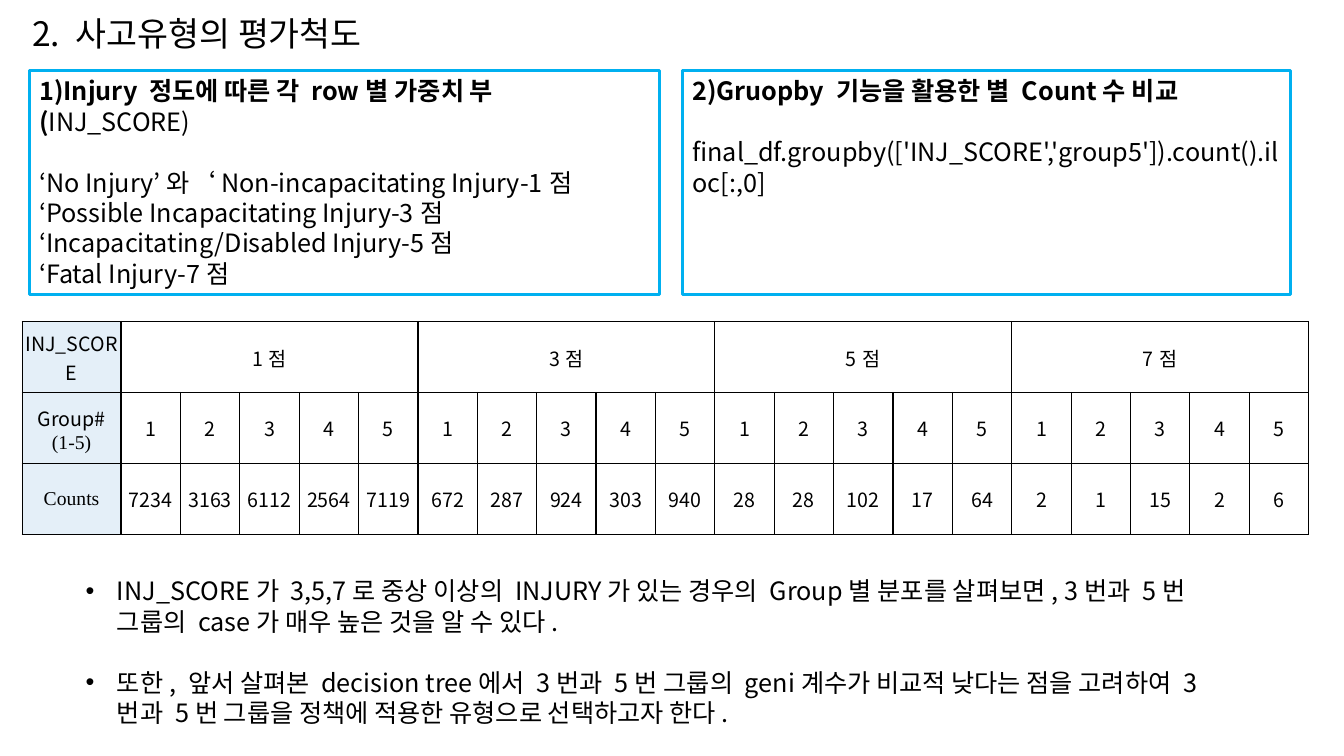
from lxml import etree
from pptx import Presentation
from pptx.dml.color import RGBColor
from pptx.enum.shapes import MSO_SHAPE
from pptx.enum.text import MSO_ANCHOR, MSO_AUTO_SIZE, PP_ALIGN
from pptx.oxml.ns import qn
from pptx.util import Inches, Pt

RECT = MSO_SHAPE.RECTANGLE
TOP, MIDDLE = MSO_ANCHOR.TOP, MSO_ANCHOR.MIDDLE
LEFT, CENTER = PP_ALIGN.LEFT, PP_ALIGN.CENTER
FIXED = MSO_AUTO_SIZE.NONE
SANS, SERIF = "Noto Sans CJK KR", "Times New Roman"


def color(code):
    return RGBColor.from_string(code)


def style(para, size, align=LEFT, face=SANS):
    para.alignment = align
    for run in para.runs:
        font = run.font
        font.size = Pt(size)
        font.name = face
        font.bold = False
        font.color.rgb = color("000000")
        east = etree.SubElement(run._r.get_or_add_rPr(), qn("a:ea"))
        east.set("typeface", face)


deck = Presentation()
deck.slide_width, deck.slide_height = Inches(13.33), Inches(7.5)
slide = deck.slides.add_slide(deck.slide_layouts[1])
title, body = slide.placeholders
title.text_frame.text = "2. 사고유형의 평가척도"
body.text_frame.text = (
    "INJ_SCORE가 3,5,7로 중상 이상의 INJURY가 있는 경우의 Group별 분포를 살펴보면, "
    "3번과 5번 그룹의 case가 매우 높은 것을 알 수 있다.\n"
    "또한, 앞서 살펴본 decision tree에서 3번과 5번 그룹의 geni계수가 비교적 낮다는 점을 "
    "고려하여 3번과 5번 그룹을 정책에 적용한 유형으로 선택하고자 한다."
)

boxes = [
    (0.29, 6.25, ["1)Injury 정도에 따른 각 row별 가중치 부(", "INJ_SCORE)"],
     ["‘No Injury’와‘Non-incapacitating Injury-1점",
      "‘Possible Incapacitating Injury-3점",
      "‘Incapacitating/Disabled Injury-5점",
      "‘Fatal Injury-7점"]),
    (6.77, 6.03, ["2)Gruopby 기능을 활용한 별 Count수 비교"],
     ["final_df.groupby(['INJ_SCORE','group5']).count().iloc[:,0]"]),
]
frames = [(title, 0.22, 0.08, 3.89, 0.5, 24, 28.9),
          (body, 0.75, 5.66, 11.65, 1.62, 18, 21.7)]
heads = []
for left, width, head, lines in boxes:
    box = slide.shapes.add_shape(RECT, 0, 0, 0, 0)
    box.shadow.inherit = False
    box.fill.background()
    box.line.color.rgb = color("00B0F0")
    box.line.width = Pt(2)
    text = box.text_frame
    text.text = "\n".join([""] + lines)
    for part in head:
        text.paragraphs[0].add_run().text = part
    heads.append(text.paragraphs[0])
    frames.append((box, left, 0.7, width, 2.22, 18, 21.7))

for shape, left, top, width, height, size, pitch in frames:
    shape.left, shape.top = Inches(left), Inches(top)
    shape.width, shape.height = Inches(width), Inches(height)
    text = shape.text_frame
    text.word_wrap = True
    text.auto_size = FIXED
    text.vertical_anchor = TOP
    for row, para in enumerate(text.paragraphs):
        style(para, size)
        para.line_spacing = Pt(pitch)
        para.space_before = Pt(pitch if row == 1 else 0)
        para.space_after = Pt(0)

for head in heads:
    head.runs[0].font.bold = True
for para in body.text_frame.paragraphs:
    props = para._p.get_or_add_pPr()
    props.set("marL", str(Inches(0.31)))
    props.set("indent", str(-Inches(0.31)))
    etree.SubElement(props, qn("a:buFont")).set("typeface", "Arial")
    etree.SubElement(props, qn("a:buChar")).set("char", "•")

scores = [1, 3, 5, 7]
counts = [7234, 3163, 6112, 2564, 7119, 672, 287, 924, 303, 940,
          28, 28, 102, 17, 64, 2, 1, 15, 2, 6]
table = slide.shapes.add_table(3, 21, Inches(0.22), Inches(3.19),
                               Inches(12.76), Inches(2.11)).table
table.first_row = table.horz_banding = False
for row in table.rows:
    row.height = Inches(2.11 / 3)
for col, width in enumerate([0.98] + [11.78 / 20] * 20):
    table.columns[col].width = Inches(width)

for row, name in enumerate(["INJ_SCORE", "Group#\n(1-5)", "Counts"]):
    table.cell(row, 0).text = name
for col, count in enumerate(counts):
    table.cell(1, col + 1).text = str(col % 5 + 1)
    table.cell(2, col + 1).text = str(count)
for pos, score in enumerate(scores):
    first = table.cell(0, pos * 5 + 1)
    first.merge(table.cell(0, pos * 5 + 5))
    first.text = f"{score}점"

for row in range(3):
    for col in range(21):
        cell = table.cell(row, col)
        cell.vertical_anchor = MIDDLE
        cell.margin_left = cell.margin_right = cell.margin_top = Inches(0.01)
        cell.margin_bottom = 0
        props = cell._tc.get_or_add_tcPr()
        for side in ["lnL", "lnR", "lnT", "lnB"]:
            line = etree.SubElement(props, qn("a:" + side), w=str(Pt(1)))
            fill = etree.SubElement(line, qn("a:solidFill"))
            etree.SubElement(fill, qn("a:srgbClr"), val="000000")
        if col:
            cell.fill.background()
        else:
            cell.fill.solid()
            cell.fill.fore_color.rgb = color("DEEBF7")
            tint = props.find(qn("a:solidFill")).find(qn("a:srgbClr"))
            etree.SubElement(tint, qn("a:alpha"), val="80000")
        for para in cell.text_frame.paragraphs:
            face = SERIF if para.text in ("(1-5)", "Counts") else SANS
            style(para, 14, CENTER, face)

deck.save("out.pptx")
